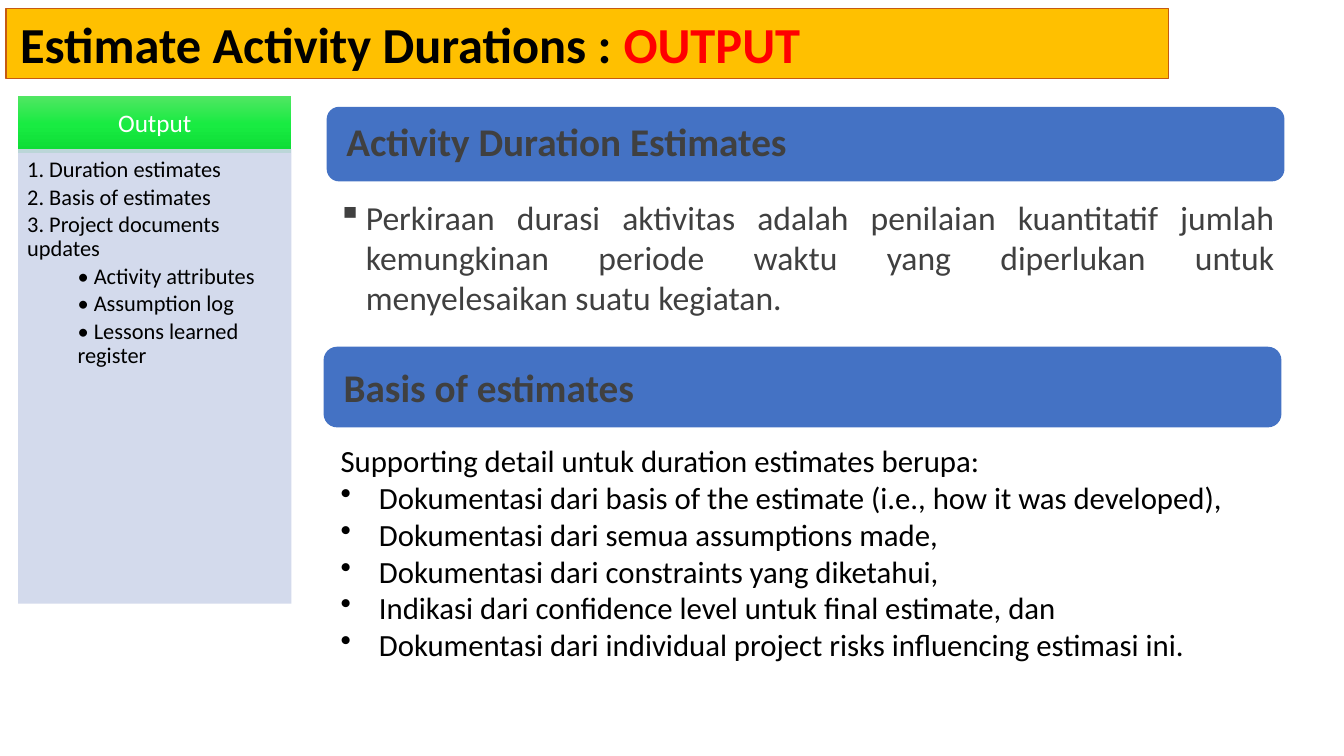
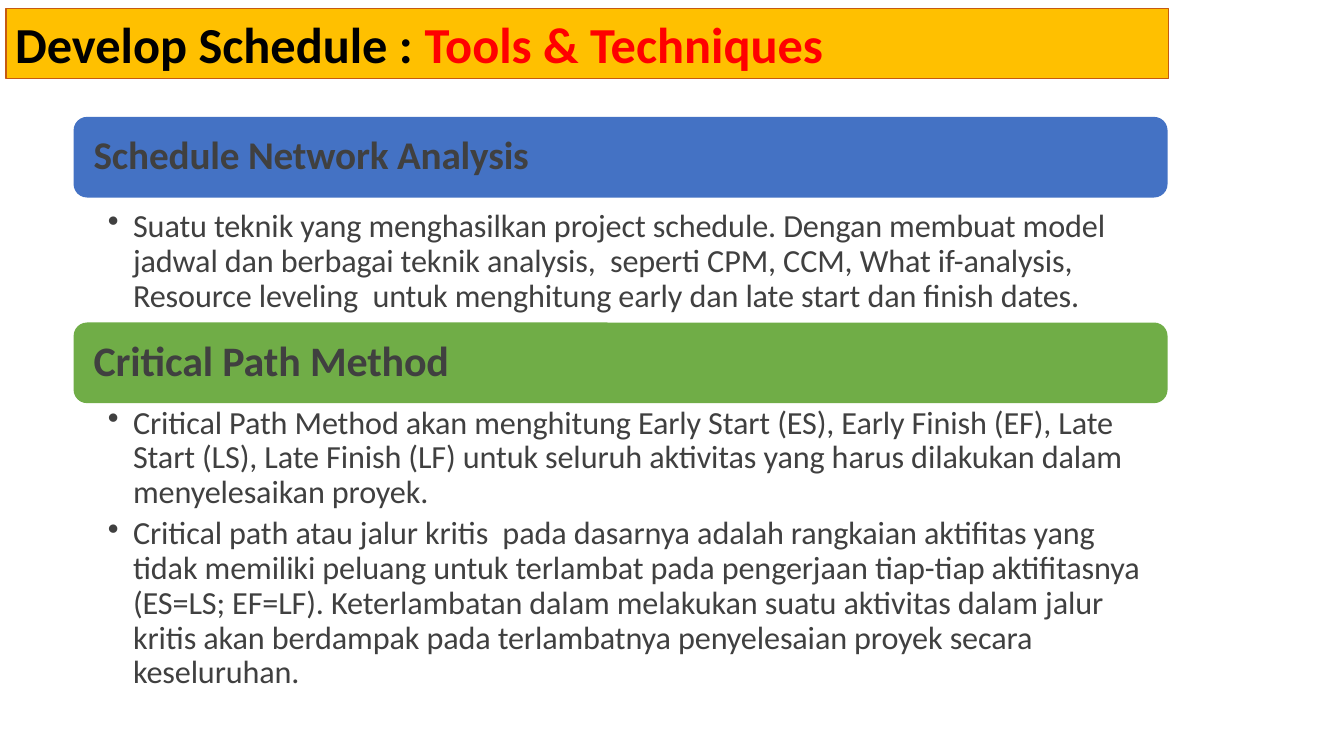
from pptx import Presentation
from pptx.dml.color import RGBColor
from pptx.enum.shapes import MSO_SHAPE as Shape
from pptx.enum.text import MSO_ANCHOR as Anchor, PP_ALIGN as Align
from pptx.oxml import parse_xml
from pptx.oxml.ns import nsdecls, qn
from pptx.oxml.xmlchemy import OxmlElement
from pptx.util import Emu, Pt

EMU_PER_PX = 9144
FONT = "Calibri"
COLORS = {
    "black": "000000", "white": "FFFFFF", "gray": "404040", "red": "FF0000",
    "amber": "FFC000", "rust": "C55A11", "blue": "4472C4", "green": "70AD47",
    "lavender": "CFD6EA",
}
HEADER_GRADIENT = [(0, "51E663"), (50, "19EB42"), (100, "0CDB34")]
BANNER = (6, 8, 1153, 70)
TIGHT = 0.9
TRACKING = -10  # hundredths of a point


def px(value):
    return Emu(value * EMU_PER_PX)


def rgb(name):
    return RGBColor.from_string(COLORS[name])


def set_frame(shape, insets, anchor):
    """Insets are left, top, right, bottom in px."""
    frame = shape.text_frame
    frame.word_wrap = True
    frame.vertical_anchor = anchor
    (frame.margin_left, frame.margin_top,
     frame.margin_right, frame.margin_bottom) = map(px, insets)
    return frame


def add_box(slide, box, fill=None, kind=Shape.RECTANGLE,
            insets=(9, 5, 9, 5), anchor=Anchor.MIDDLE):
    shape = slide.shapes.add_shape(kind, *map(px, box))
    shape.shadow.inherit = False
    shape.line.fill.background()
    if fill:
        shape.fill.solid()
        shape.fill.fore_color.rgb = rgb(fill)
    set_frame(shape, insets, anchor)
    return shape


def add_text_box(slide, box, insets=(10, 5, 10, 5)):
    shape = slide.shapes.add_textbox(*map(px, box))
    return set_frame(shape, insets, Anchor.TOP)


def write(frame, text, size, color, bold=False, align=Align.LEFT, spacing=1.0,
          after=0, bullet=None, left=0, hanging=0, tracking=0):
    """Write one paragraph, filling the frame's first one if still empty."""
    paragraph = frame.paragraphs[0]
    if paragraph.runs:
        paragraph = frame.add_paragraph()
    paragraph.alignment = align
    paragraph.line_spacing = spacing
    paragraph.space_after = Pt(after)
    properties = paragraph._p.get_or_add_pPr()
    properties.set("marL", str(px(left)))
    properties.set("indent", str(px(-hanging)))
    if bullet:
        marker = OxmlElement("a:buChar")
        marker.set("char", bullet)
        properties.append(marker)
    font = paragraph.font
    font.name, font.size, font.bold = FONT, Pt(size), bold
    font.color.rgb = rgb(color)
    if tracking:
        font._element.set("spc", str(tracking))
    paragraph.add_run().text = text
    return paragraph


def add_banner(slide, topic, aspect, left_inset=9):
    banner = add_box(slide, BANNER, "amber", insets=(left_inset, 5, 9, 5))
    banner.line.color.rgb = rgb("rust")
    banner.line.width = Pt(0.75)
    paragraph = write(banner.text_frame, topic, 36, "black", bold=True)
    run = paragraph.add_run()
    run.text = aspect
    run.font.color.rgb = rgb("red")


def add_heading(slide, box, text, fill="blue", size=28, spacing=TIGHT, tracking=0):
    heading = add_box(slide, box, fill, Shape.ROUNDED_RECTANGLE, (16, 12, 16, 12))
    write(heading.text_frame, text, size, "gray", bold=True,
          spacing=spacing, tracking=tracking)


def fill_gradient(shape, stops):
    """Fill a shape from top to bottom through (percent, colour) stops."""
    stop_xml = "".join(
        f'<a:gs pos="{percent * 1000}"><a:srgbClr val="{color}"/></a:gs>'
        for percent, color in stops)
    gradient = parse_xml(
        f'<a:gradFill {nsdecls("a")}><a:gsLst>{stop_xml}</a:gsLst>'
        '<a:lin ang="5400000" scaled="0"/></a:gradFill>')
    shape._element.spPr.find(qn("a:prstGeom")).addnext(gradient)


def set_opacity(shape, percent):
    color = shape._element.spPr.find(qn("a:solidFill"))[0]
    alpha = OxmlElement("a:alpha")
    alpha.set("val", str(percent * 1000))
    color.append(alpha)


def add_output_panel(slide, outputs, updates):
    header = add_box(slide, (18, 95, 271, 57))
    fill_gradient(header, HEADER_GRADIENT)
    write(header.text_frame, "Output", 18, "white", align=Align.CENTER, spacing=TIGHT)
    panel = add_box(slide, (18, 148, 271, 451), "lavender",
                    insets=(9, 9, 12, 14), anchor=Anchor.TOP)
    set_opacity(panel, 90)
    for left, lines in ((0, outputs), (50, updates)):
        for line in lines:
            write(panel.text_frame, line, 16, "black", spacing=TIGHT,
                  after=2.4, left=left)


def add_bullets(slide, box, texts):
    frame = add_text_box(slide, box, (34, 4, 23, 4))
    for text in texts:
        write(frame, text, 23, "gray", spacing=TIGHT, after=4.6, bullet="•",
              left=25, hanging=25, tracking=TRACKING)


def build_duration_output(slide):
    add_banner(slide, "Estimate Activity Durations : ", "OUTPUT", left_inset=14)
    add_output_panel(
        slide,
        ["1. Duration estimates", "2. Basis of estimates",
         "3. Project documents updates"],
        ["• Activity attributes", "• Assumption log", "• Lessons learned register"])

    add_heading(slide, (324, 106, 950, 74), "Activity Duration Estimates")
    definition = add_text_box(slide, (324, 190, 950, 131))
    write(definition,
          "Perkiraan durasi aktivitas adalah penilaian kuantitatif jumlah "
          "kemungkinan periode waktu yang diperlukan untuk menyelesaikan "
          "suatu kegiatan.",
          24, "gray", align=Align.JUSTIFY, bullet="▪", left=29, hanging=28)

    add_heading(slide, (321, 344, 950, 80), "Basis of estimates", spacing=1.0)
    details = add_text_box(slide, (328, 433, 943, 232))
    write(details, "Supporting detail untuk duration estimates berupa:", 22, "black")
    for text in (
        "Dokumentasi dari basis of the estimate (i.e., how it was developed),",
        "Dokumentasi dari semua assumptions made,",
        "Dokumentasi dari constraints yang diketahui,",
        "Indikasi dari confidence level untuk final estimate, dan",
        "Dokumentasi dari individual project risks influencing estimasi ini.",
    ):
        write(details, text, 22, "black", bullet="•", left=38, hanging=38)


def build_schedule_tools(slide):
    add_banner(slide, "Develop Schedule : ", "Tools & Techniques")
    left, width = 73, 1085
    add_heading(slide, (left, 116, width, 80), "Schedule Network Analysis",
                tracking=TRACKING)
    add_bullets(slide, (left, 204, width, 115), [
        "Suatu teknik yang menghasilkan project schedule. Dengan membuat model "
        "jadwal dan berbagai teknik analysis,  seperti CPM, CCM, What if-analysis, "
        "Resource leveling  untuk menghitung early dan late start dan finish dates.",
    ])
    add_heading(slide, (left, 320, width, 80), "Critical Path Method", "green",
                size=30, tracking=TRACKING)
    add_bullets(slide, (left, 399, width, 299), [
        "Critical Path Method akan menghitung Early Start (ES), Early Finish (EF), "
        "Late Start (LS), Late Finish (LF) untuk seluruh aktivitas yang harus "
        "dilakukan dalam menyelesaikan proyek.",
        "Critical path atau jalur kritis  pada dasarnya adalah rangkaian aktifitas "
        "yang tidak memiliki peluang untuk terlambat pada pengerjaan tiap-tiap "
        "aktifitasnya (ES=LS; EF=LF). Keterlambatan dalam melakukan suatu aktivitas "
        "dalam jalur kritis akan berdampak pada terlambatnya penyelesaian proyek "
        "secara keseluruhan.",
    ])


def main():
    presentation = Presentation()
    presentation.slide_width, presentation.slide_height = px(1333), px(750)
    blank = presentation.slide_layouts[6]
    for build in (build_duration_output, build_schedule_tools):
        build(presentation.slides.add_slide(blank))
    presentation.save("out.pptx")


if __name__ == "__main__":
    main()
